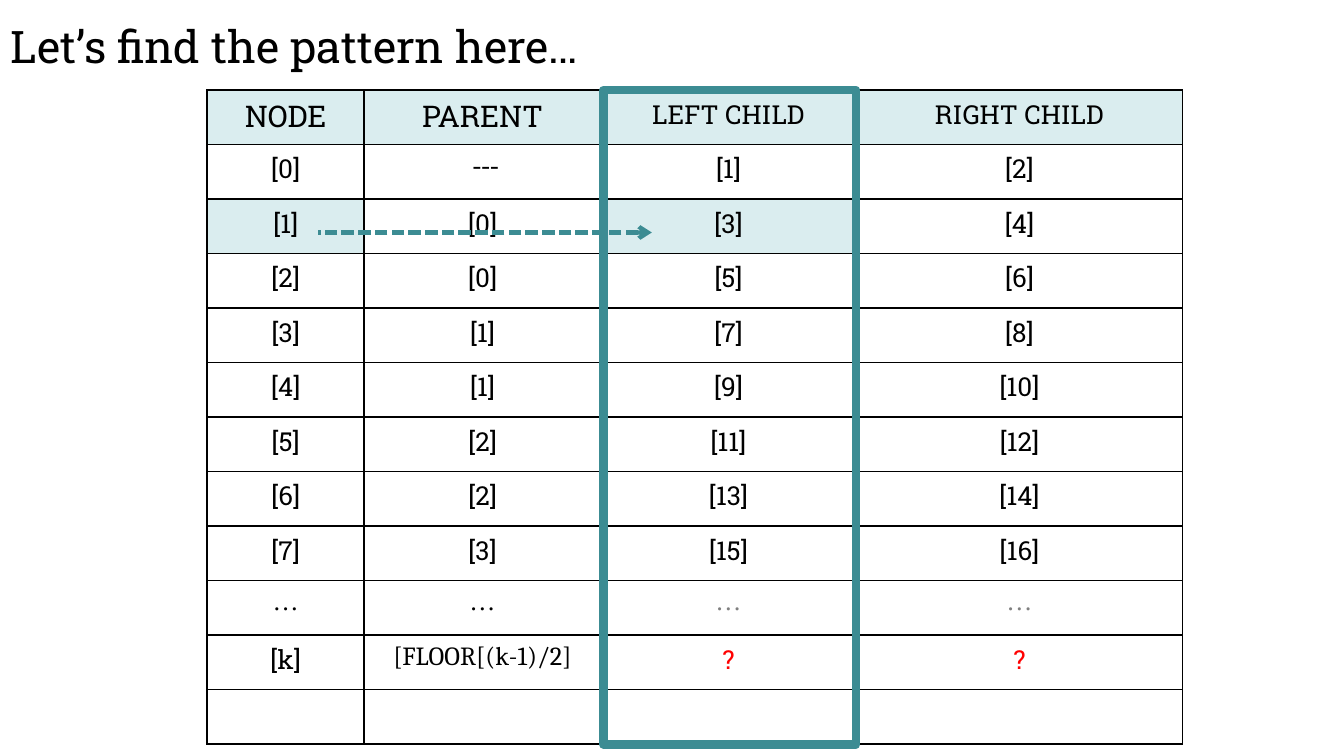
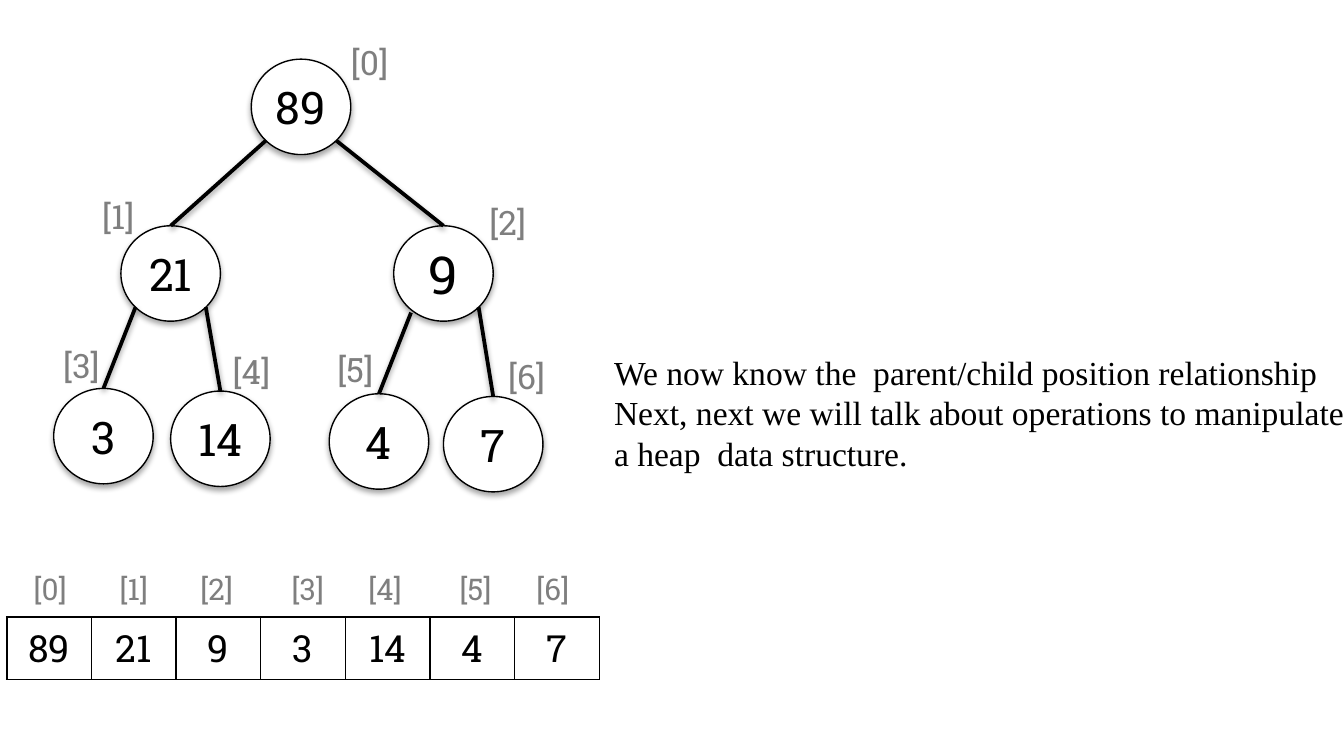
from lxml.etree import SubElement
from pptx import Presentation
from pptx.dml.color import RGBColor
from pptx.enum.shapes import MSO_CONNECTOR, MSO_SHAPE
from pptx.enum.text import MSO_ANCHOR, MSO_AUTO_SIZE, PP_ALIGN
from pptx.oxml.ns import qn
from pptx.util import Inches, Pt

# Shared look
SLAB, SERIF, CAMBRIA = "Roboto Slab", "Times New Roman", "Cambria"
BLACK, WHITE, GRAY, RED = "000000", "FFFFFF", "7F7F7F", "FF0000"
TEAL, PALE = "3C8C93", "DAEDEF"

# Content: pattern slide
TITLE = "Let’s find the pattern here…"
HEADERS = ["NODE", "PARENT", "LEFT CHILD", "RIGHT CHILD"]
HEADER_SIZES = [16, 16, 14, 14]
PATTERN_COLUMNS = [1.17, 1.76, 1.9, 2.43]
FORMULA = "[FLOOR[(k-1)/2]"
PATTERN_ROWS = [HEADERS]
PATTERN_ROWS += [[f"[{n}]", f"[{(n - 1) // 2}]" if n else " ---",
                  f"[{2 * n + 1}]", f"[{2 * n + 2}]"] for n in range(8)]
PATTERN_ROWS += [["…"] * 4, ["[k]", FORMULA, "?", "?"], [""] * 4]
CELL_FONTS = {" ---": SERIF, "…": SERIF, FORMULA: CAMBRIA}
SHADED = {(0, 0), (0, 1), (0, 2), (0, 3), (2, 0), (2, 2)}

# Content: heap slide; value, node left and top, index label left and top
HEAP = [
    ("89", 1.87, 0.44, 2.51, 0.26),
    ("21", 0.90, 1.68, 0.66, 1.41),
    ("9", 2.93, 1.68, 3.54, 1.45),
    ("3", 0.40, 2.89, 0.37, 2.52),
    ("14", 1.27, 2.91, 1.63, 2.56),
    ("4", 2.45, 2.93, 2.41, 2.55),
    ("7", 3.30, 2.95, 3.68, 2.60),
]
NODE_W, NODE_H = 0.74, 0.71
NODE_SIZES = {"9": 28}
EDGE_NUDGES = {5: (0.02, 0.04)}
INDEX_TABS = [0.64, 1.24, 1.92, 2.49, 3.17, 3.74]
SUMMARY = [
    "We now know the  parent/child position relationship",
    "Next, next we will talk about operations to manipulate a heap  data structure.",
]


def rgb(value):
    return RGBColor.from_string(value)


def box(*lengths):
    return [Inches(length) for length in lengths]


def format_text(frame, size, color=BLACK, font=SLAB, align=PP_ALIGN.LEFT):
    for paragraph in frame.paragraphs:
        paragraph.alignment = align
        for target in [paragraph] + list(paragraph.runs):
            target.font.size = Pt(size)
            target.font.name = font
            target.font.color.rgb = rgb(color)


def write(frame, text, size, color=BLACK, font=SLAB, wrap=False):
    frame.text = text
    frame.word_wrap = wrap
    frame.auto_size = MSO_AUTO_SIZE.SHAPE_TO_FIT_TEXT
    frame.vertical_anchor = MSO_ANCHOR.TOP
    format_text(frame, size, color, font)


def add_text(slide, place, text, size, **style):
    frame = slide.shapes.add_textbox(*box(*place)).text_frame
    write(frame, text, size, **style)
    return frame


def set_line(shape, color, width):
    shape.line.color.rgb = rgb(color)
    shape.line.width = Pt(width)


def set_effects(shape, alpha=0, distance=0):
    """Give an empty effect list, or a soft shadow below when alpha is set."""
    effects = SubElement(shape._element.spPr, qn("a:effectLst"))
    if alpha:
        shadow = SubElement(effects, qn("a:outerShdw"), blurRad=str(Pt(3.1)),
                            dist=str(Pt(distance)), dir="5400000", rotWithShape="0")
        color = SubElement(shadow, qn("a:srgbClr"), val=BLACK)
        SubElement(color, qn("a:alpha"), val=str(alpha * 1000))


def add_line(slide, start, end, color, width):
    line = slide.shapes.add_connector(MSO_CONNECTOR.STRAIGHT, *box(*start, *end))
    set_line(line, color, width)
    return line


def add_grid(slide, left, top, columns, row_height, rows, style):
    """style(row, column, text) gives size, colour, font and fill of a cell."""
    table = slide.shapes.add_table(
        len(rows), len(columns),
        *box(left, top, sum(columns), row_height * len(rows))).table
    table.first_row = table.horz_banding = False
    for column, width in zip(table.columns, columns):
        column.width = Inches(width)
    for r, texts in enumerate(rows):
        table.rows[r].height = Inches(row_height)
        for c, text in enumerate(texts):
            cell = table.cell(r, c)
            size, color, font, fill = style(r, c, text)
            cell.text = text
            format_text(cell.text_frame, size, color, font, PP_ALIGN.CENTER)
            for side in ("lnL", "lnR", "lnT", "lnB"):
                border = SubElement(cell._tc.get_or_add_tcPr(), qn(f"a:{side}"),
                                    w=str(Pt(1)))
                paint = SubElement(border, qn("a:solidFill"))
                SubElement(paint, qn("a:srgbClr"), val=BLACK)
            if fill:
                cell.fill.solid()
                cell.fill.fore_color.rgb = rgb(fill)
            else:
                cell.fill.background()


def pattern_style(row, column, text):
    size = HEADER_SIZES[column] if row == 0 else 14
    color = RED if text == "?" else GRAY if text == "…" and column > 1 else BLACK
    fill = PALE if (row, column) in SHADED else None
    return size, color, CELL_FONTS.get(text, SLAB), fill


def array_style(row, column, text):
    return 20, BLACK, SLAB, None


# Widescreen deck, 16:9
deck = Presentation()
deck.slide_width = Inches(10)
deck.slide_height = Inches(10 * 9 / 16)

# Pattern slide: table, title, highlighted column and arrow
pattern = deck.slides.add_slide(deck.slide_layouts[5])
title = pattern.shapes.title
title.left, title.top, title.width, title.height = box(-0.02, 0.09, 4.51, 0.5)
write(title.text_frame, TITLE, 24)
add_grid(pattern, 1.54, 0.67, PATTERN_COLUMNS, 4.87 / len(PATTERN_ROWS),
         PATTERN_ROWS, pattern_style)

highlight = pattern.shapes.add_shape(MSO_SHAPE.RECTANGLE, *box(4.49, 0.67, 1.88, 4.87))
highlight.fill.background()
set_line(highlight, TEAL, 4.5)
highlight.shadow.inherit = False

arrow = add_line(pattern, (4.85, 1.73), (2.37, 1.73), TEAL, 2.25)
arrow_line = arrow.line._get_or_add_ln()
SubElement(arrow_line, qn("a:prstDash"), val="sysDash")
SubElement(arrow_line, qn("a:headEnd"), type="arrow")
set_effects(arrow)

# Heap slide: array with its indices
heap = deck.slides.add_slide(deck.slide_layouts[6])
add_grid(heap, 0.05, 4.59, [0.63] * len(HEAP), 0.43,
         [[node[0] for node in HEAP]], array_style)
indices = add_text(heap, (0.15, 4.2, 4.31, 0.64),
                   "\t".join(f"[{i}]" for i in range(len(HEAP))), 16,
                   color=GRAY, wrap=True)
tab_list = SubElement(indices.paragraphs[0]._p.get_or_add_pPr(), qn("a:tabLst"))
for position in INDEX_TABS:
    SubElement(tab_list, qn("a:tab"), pos=str(Inches(position)), algn="l")

# Heap slide: tree nodes and index labels
for i, (value, left, top, label_left, label_top) in enumerate(HEAP):
    node = heap.shapes.add_shape(MSO_SHAPE.OVAL, *box(left, top, NODE_W, NODE_H))
    node.fill.solid()
    node.fill.fore_color.rgb = rgb(WHITE)
    set_line(node, BLACK, 0.75)
    set_effects(node, 35, 1.8)
    frame = node.text_frame
    frame.text = value
    frame.vertical_anchor = MSO_ANCHOR.MIDDLE
    frame.margin_left = frame.margin_right = Inches(0.04)
    format_text(frame, NODE_SIZES.get(value, 24), align=PP_ALIGN.CENTER)
    add_text(heap, (label_left, label_top, 0.48, 0.4), f"[{i}]", 18, color=GRAY)

# Heap slide: edges run from the parent's lower diagonal to the child's top
DIAGONAL = 0.5 ** 0.5
for child in range(1, len(HEAP)):
    parent_left, parent_top = HEAP[(child - 1) // 2][1:3]
    child_left, child_top = HEAP[child][1:3]
    side = -1 if child % 2 else 1
    dx, dy = EDGE_NUDGES.get(child, (0, 0))
    start = (parent_left + NODE_W / 2 * (1 + side * DIAGONAL) + dx,
             parent_top + NODE_H / 2 * (1 + DIAGONAL) + dy)
    edge = add_line(heap, start, (child_left + NODE_W / 2, child_top), BLACK, 2)
    set_effects(edge, 38, 1.6)

# Heap slide: summary
add_text(heap, (4.47, 2.57, 5.72, 1.01), "\n".join(SUMMARY), 18, font=SERIF, wrap=True)

deck.save("out.pptx")
